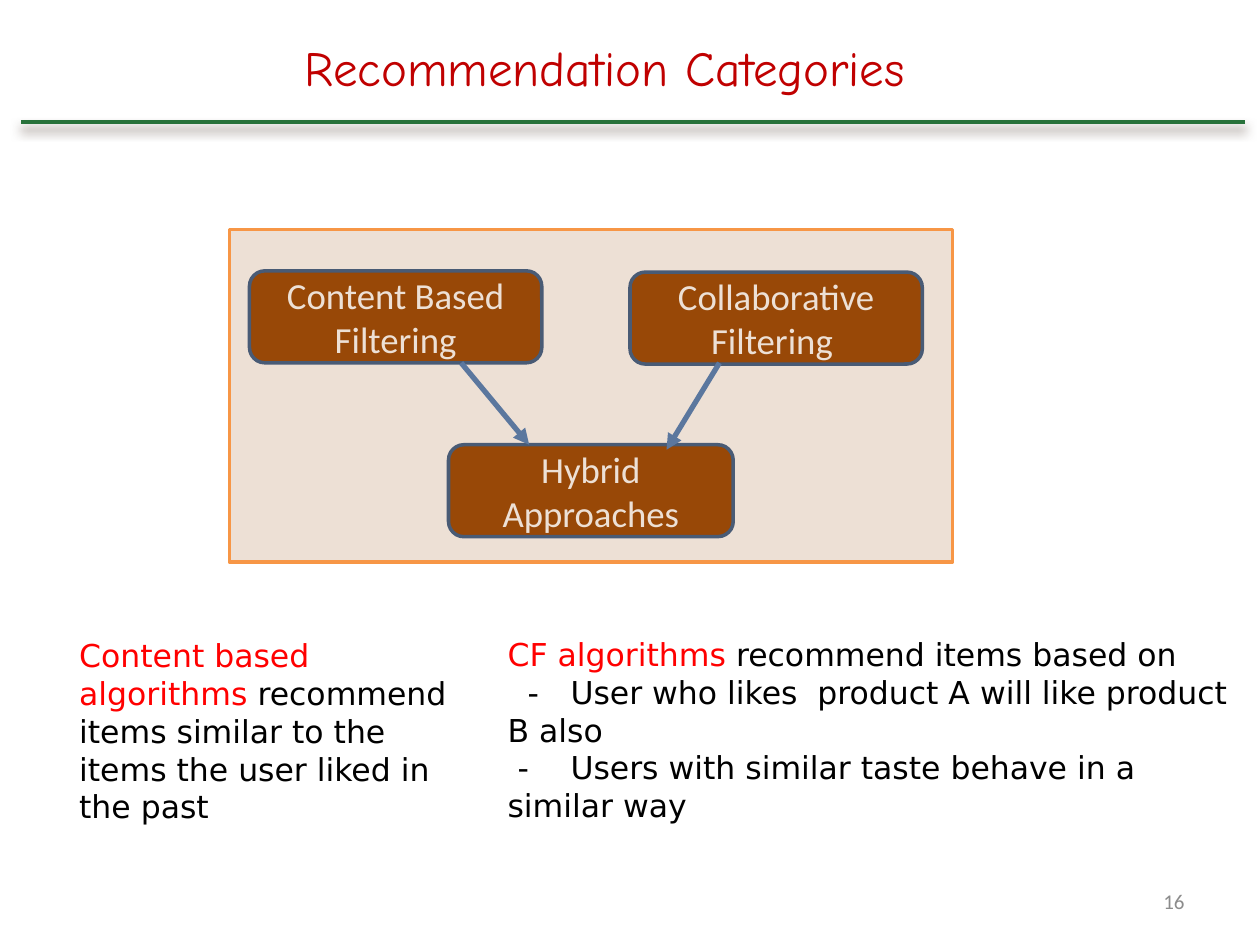
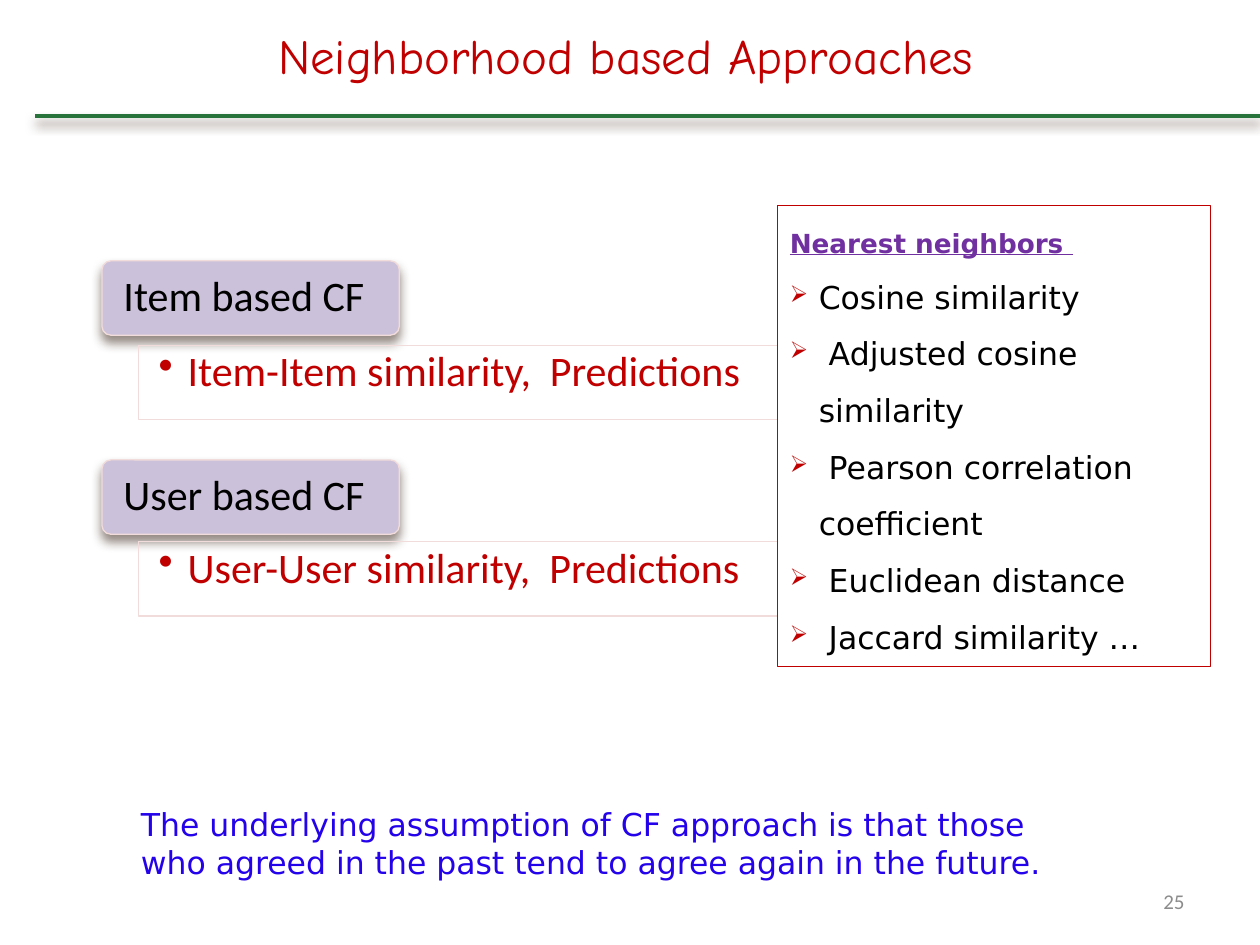
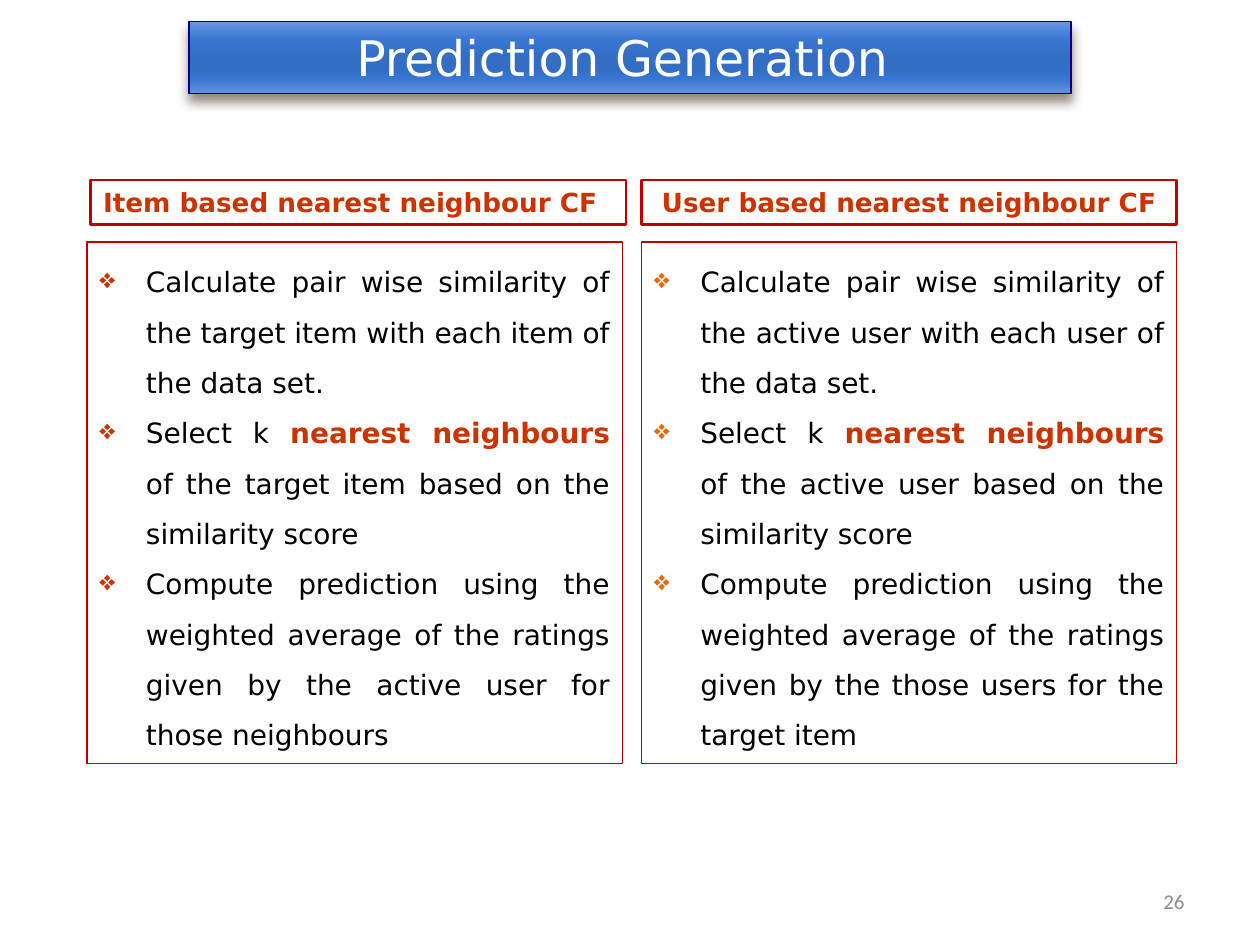
from dataclasses import dataclass

from lxml.etree import SubElement
from pptx import Presentation
from pptx.dml.color import RGBColor
from pptx.enum.shapes import MSO_CONNECTOR as LINE, MSO_SHAPE as SHAPE
from pptx.enum.text import MSO_ANCHOR as ANCHOR, PP_ALIGN as ALIGN
from pptx.oxml.ns import qn
from pptx.util import Pt

PX = 9144  # EMU per px, 100 px to the inch


@dataclass(frozen=True)
class Theme:
    black: str = "000000"
    white: str = "FFFFFF"
    grey: str = "8C8C8C"
    crimson: str = "C00000"
    red: str = "FF0000"
    rust: str = "CC3300"
    orange: str = "E46C0A"
    purple: str = "7030A0"
    blue: str = "2403EB"
    green: str = "28723B"
    brown: str = "984807"
    box_edge: str = "3A5F8C"
    arrow: str = "4F81BD"
    frame_edge: str = "F79646"
    lilac: str = "CCC1DA"
    blush: str = "F2DCDB"
    navy: str = "000082"
    shadow: str = "4E3B30"
    banner: tuple = ((0, "6A98E4"), (25, "3977D3"), (50, "336DC4"),
                     (65, "336DC4"), (80, "3876D1"), (100, "6291DF"))
    sans: str = "Calibri"
    body: str = "DejaVu Sans"
    hand: str = "Comic Neue"
    title_size: int = 28
    topic_size: int = 24
    box_size: float = 21
    body_size: int = 18
    step_size: int = 16
    label_size: int = 15
    number_size: int = 12


T = Theme()
TITLE = dict(name=T.hand, size=T.title_size, color=T.crimson)
BANNER = dict(name=T.body, size=T.title_size, color=T.white)
BOX = dict(name=T.sans, size=T.box_size, color=T.white)
TOPIC = dict(name=T.sans, size=T.topic_size, color=T.black)
BODY = dict(name=T.body, size=T.body_size, color=T.black)
STEP = dict(BODY, size=T.step_size)
LABEL = dict(name=T.body, size=T.label_size, color=T.rust, bold=True)
NUMBER = dict(name=T.sans, size=T.number_size, color=T.grey)


def rgb(color):
    return RGBColor.from_string(color)


def child(parent, tag, **attrs):
    return SubElement(parent, qn("a:" + tag), {k: str(v) for k, v in attrs.items()})


def set_effect(s, shadow):
    """Give a shape or connector the soft drop shadow, or none at all."""
    effects = child(s._element.spPr, "effectLst")
    if shadow:
        outer = child(effects, "outerShdw", blurRad=Pt(6), dist=Pt(4),
                      dir=5400000, algn="t", rotWithShape=0)
        child(child(outer, "srgbClr", val=T.shadow), "alpha", val=60000)


def set_fill(s, fill, opacity):
    if fill is None:
        s.fill.background()
    elif isinstance(fill, str):
        s.fill.solid()
        s.fill.fore_color.rgb = rgb(fill)
        if opacity < 100:
            color = s._element.spPr.find(qn("a:solidFill"))[0]
            child(color, "alpha", val=opacity * 1000)
    else:
        s.fill.gradient()
        s.fill.gradient_angle = 270
        stops = s._element.spPr.find(qn("a:gradFill")).find(qn("a:gsLst"))
        stops.clear()
        for pos, color in fill:
            child(child(stops, "gs", pos=pos * 1000), "srgbClr", val=color)


def set_paragraph(p, margin=0, indent=0, bullet=None, bullet_color=None,
                  bullet_size=None, tab=None, **formats):
    for key, value in formats.items():
        setattr(p, key, value)
    pPr = p._p.get_or_add_pPr()
    pPr.set("marL", str(margin * PX))
    pPr.set("indent", str(indent * PX))
    if bullet_color:
        child(child(pPr, "buClr"), "srgbClr", val=bullet_color)
    if bullet_size:
        child(pPr, "buSzPct", val=bullet_size * 1000)
    if bullet:
        child(pPr, "buChar", char=bullet)
    if tab:
        child(child(pPr, "tabLst"), "tab", pos=tab * PX, algn="l")


def set_font(r, color, size, **formats):
    r.font.color.rgb = rgb(color)
    r.font.size = Pt(size)
    for key, value in formats.items():
        setattr(r.font, key, value)


def write(s, paragraphs, font, anchor=ANCHOR.TOP, insets=(10, 5, 10, 5), **shared):
    """Fill a shape; a paragraph is a text or (runs, formats), a run a text or (text, font)."""
    tf = s.text_frame
    tf.word_wrap = True
    tf.vertical_anchor = anchor
    for side, inset in zip(("left", "top", "right", "bottom"), insets):
        setattr(tf, "margin_" + side, inset * PX)
    for i, item in enumerate(paragraphs):
        runs, formats = ([item], {}) if isinstance(item, str) else item
        p = tf.add_paragraph() if i else tf.paragraphs[0]
        set_paragraph(p, **{**shared, **formats})
        for run in runs:
            text, own = (run, {}) if isinstance(run, str) else run
            r = p.add_run()
            r.text = text
            set_font(r, **{**font, **own})


class Deck:
    def __init__(self):
        self.prs = Presentation()
        self.prs.slide_width, self.prs.slide_height = 1000 * PX, 750 * PX

    def start(self, number):
        self.slide = self.prs.slides.add_slide(self.prs.slide_layouts[6])
        self.text((717, 695, 233, 40), [str(number)], NUMBER,
                  anchor=ANCHOR.MIDDLE, alignment=ALIGN.RIGHT)

    def text(self, at, paragraphs, font, **formats):
        s = self.slide.shapes.add_textbox(*(v * PX for v in at))
        write(s, paragraphs, font, **formats)

    def shape(self, kind, at, line, width, fill=None, opacity=100, shadow=False, radius=None):
        s = self.slide.shapes.add_shape(kind, *(v * PX for v in at))
        if radius:
            s.adjustments[0] = radius
        set_fill(s, fill, opacity)
        s.line.color.rgb = rgb(line)
        s.line.width = Pt(width)
        if shadow:
            set_effect(s, shadow)
        else:
            s.shadow.inherit = False
        return s

    def line(self, start, end, color, width, shadow=False, arrow=False):
        s = self.slide.shapes.add_connector(LINE.STRAIGHT, *(v * PX for v in start + end))
        s.line.color.rgb = rgb(color)
        s.line.width = Pt(width)
        if arrow:
            child(s.line._get_or_add_ln(), "tailEnd", type="triangle")
        set_effect(s, shadow)

    def title(self, text, at, rule_left, rule_right, rule_y):
        self.text(at, [text], TITLE, line_spacing=0.9)
        self.line((rule_left, rule_y), (rule_right, rule_y), T.green, 2.25, shadow=True)

    def panel(self, at, paragraphs, font, width=0.75, **formats):
        s = self.shape(SHAPE.RECTANGLE, at, T.crimson, width)
        write(s, paragraphs, font, **{"alignment": ALIGN.LEFT, **formats})


def categories(deck):
    deck.start(16)
    deck.title("Recommendation Categories", (232, 30, 536, 47), 17, 988, 97)
    boxes = (("Content Based Filtering", 198, 215, 232),
             ("Collaborative Filtering ", 500, 216, 232),
             ("Hybrid Approaches", 356, 353, 226))
    for label, x, y, w in boxes:
        s = deck.shape(SHAPE.ROUNDED_RECTANGLE, (x, y, w, 73), T.box_edge, 2, T.brown)
        write(s, [label], BOX, anchor=ANCHOR.MIDDLE, alignment=ALIGN.CENTER)
    for start, end in (((366, 288), (420, 353)), ((571, 288), (529, 357))):
        deck.line(start, end, T.arrow, 3, arrow=True)
    deck.shape(SHAPE.RECTANGLE, (182, 182, 574, 264), T.frame_edge, 2, T.brown, opacity=17)

    red = dict(color=T.red)
    deck.text((53, 500, 339, 162), [
        ([("Content based algorithms ", red),
          "recommend items similar to the items the user liked in the past"], {}),
    ], BODY)
    deck.text((393, 499, 593, 162), [
        ([("CF algorithms ", red), "recommend items based on"], {}),
        (["-\tUser who likes  product A will like product B also"], dict(indent=16, tab=40)),
        (["-\tUsers with similar taste behave in a similar way"], dict(indent=8, tab=40)),
    ], BODY)


def neighborhood(deck):
    deck.start(25)
    deck.title("Neighborhood based Approaches", (211, 21, 652, 47), 28, 1000, 92)
    for kind, tab_y, box_y in (("Item", 207, 274), ("User", 365, 430)):
        s = deck.shape(SHAPE.ROUNDED_RECTANGLE, (81, tab_y, 236, 59), T.blush, 0.75,
                       T.lilac, shadow=True, radius=0.12)
        write(s, [f"{kind} based CF"], TOPIC, anchor=ANCHOR.MIDDLE, insets=(15,) * 4,
              alignment=ALIGN.LEFT, line_spacing=0.9)
        s = deck.shape(SHAPE.RECTANGLE, (110, box_y, 507, 59), T.blush, 0.75)
        write(s, [f"{kind}-{kind} similarity,  Predictions"], dict(TOPIC, color=T.crimson),
              insets=(16, 4, 24, 4), alignment=ALIGN.LEFT, line_spacing=0.9,
              margin=23, indent=-23, bullet="•")

    heading = dict(size=T.label_size, color=T.purple, bold=True, underline=True)
    bullet = dict(margin=23, indent=-23, bullet="➢", bullet_color=T.crimson, bullet_size=74)
    measures = ("Cosine similarity", " Adjusted cosine similarity",
                " Pearson correlation coefficient", " Euclidean distance",
                " Jaccard similarity …")
    deck.panel((617, 163, 344, 366),
               [([("Nearest neighbors ", heading)], {})]
               + [([measure], bullet) for measure in measures],
               BODY, line_spacing=1.5)
    deck.text((102, 634, 758, 71),
              ["The underlying assumption of CF approach is that those who agreed "
               "in the past tend to agree again in the future."],
              dict(BODY, color=T.blue))


def prediction(deck):
    deck.start(26)
    s = deck.shape(SHAPE.RECTANGLE, (150, 17, 700, 57), T.navy, 0.75, T.banner, shadow=True)
    write(s, ["Prediction Generation "], BANNER, alignment=ALIGN.CENTER, margin=30, indent=-30)

    columns = (
        ("Item", 72, 69, ALIGN.LEFT, T.rust, "target item", "item",
         "active user for those neighbours"),
        ("User", 509, 509, ALIGN.CENTER, T.orange, "active user", "user",
         "those users for the target item"),
    )
    strong = dict(color=T.rust, bold=True)
    for kind, label_x, x, align, color, target, peer, raters in columns:
        deck.panel((label_x, 143, 425, 35), [f"{kind} based nearest neighbour CF"],
                   LABEL, width=1.5, alignment=align)
        deck.panel((x, 192, 425, 414), [
            f"Calculate pair wise similarity of the {target} with each {peer} of the data set.",
            (["Select k ", ("nearest neighbours ", strong),
              f"of the {target} based on the similarity score"], {}),
            "Compute prediction using the weighted average of the ratings "
            f"given by the {raters}",
        ], STEP, alignment=ALIGN.JUSTIFY, line_spacing=1.5,
            margin=37, indent=-37, bullet="❖", bullet_color=color)


def main():
    deck = Deck()
    for build in (categories, neighborhood, prediction):
        build(deck)
    deck.prs.save("out.pptx")


if __name__ == "__main__":
    main()
